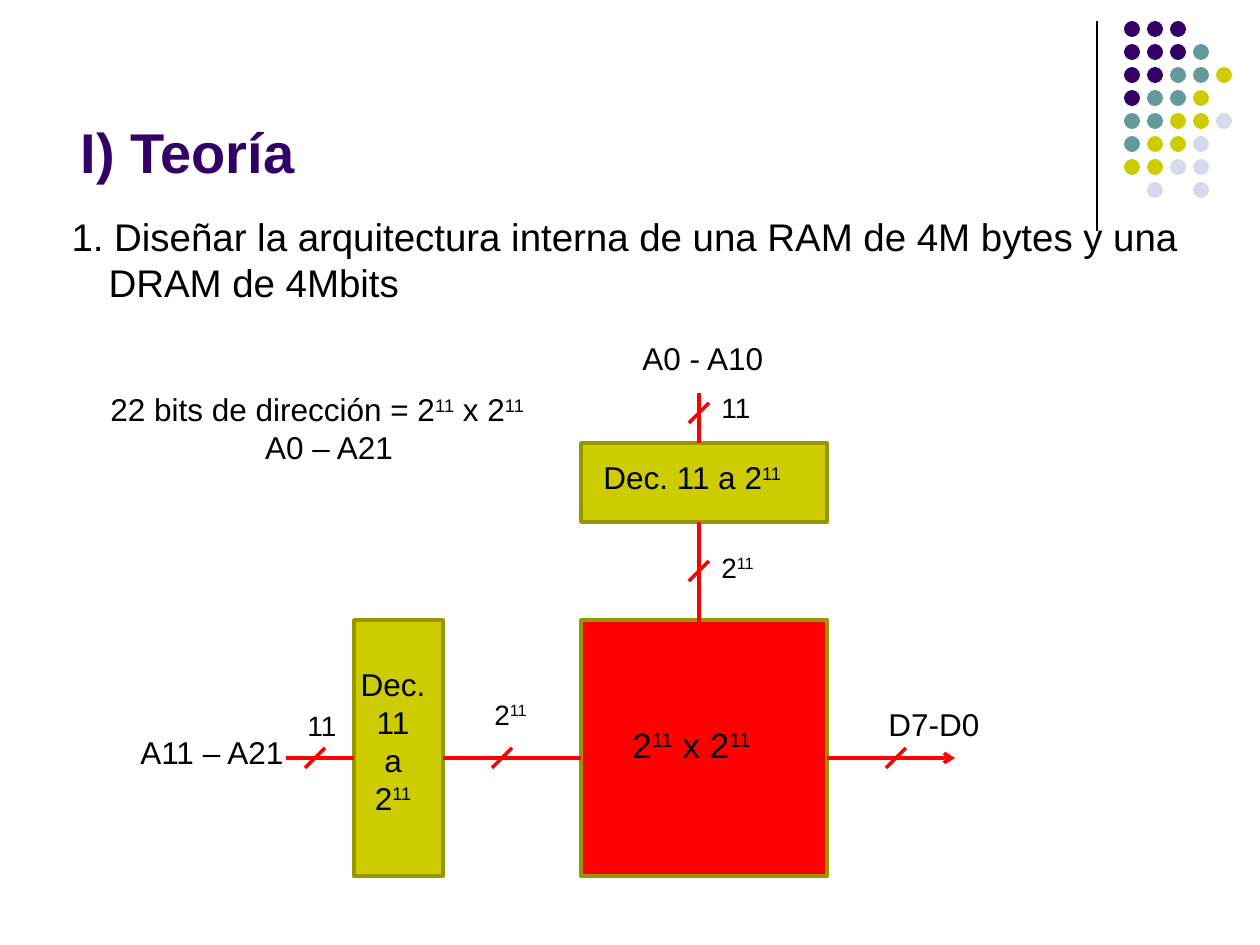
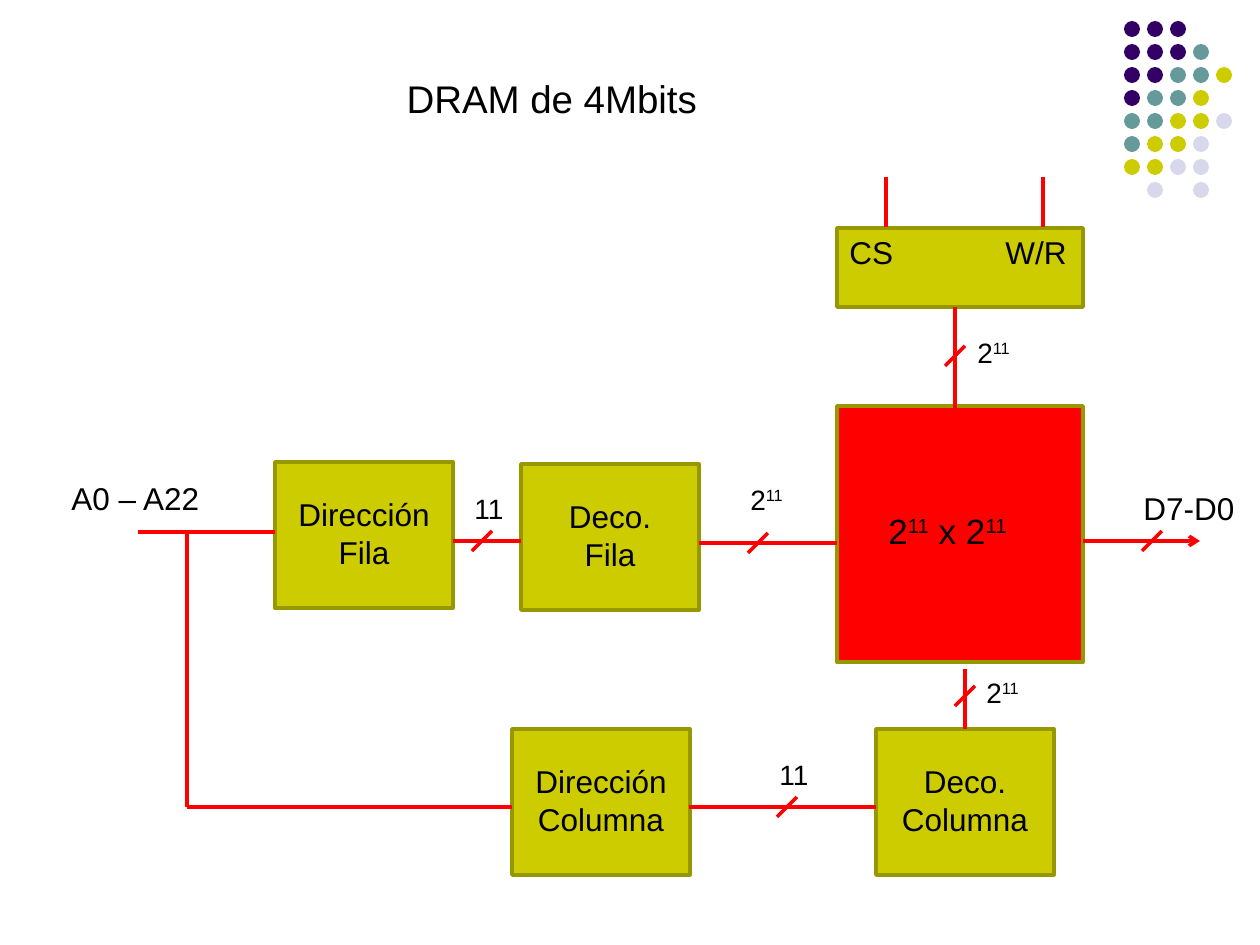
import pptx
import pptx.dml.color
import pptx.enum.shapes
import pptx.enum.text
import pptx.oxml.ns
import pptx.util
from lxml import etree

PX = 914400 / 126
COLORS = {
    "purple": "330066", "teal": "669999", "olive": "CCCC00", "lilac": "D8D8EC",
    "edge": "979700", "red": "FF0000", "black": "000000",
}
DOT_COLORS = {"P": "purple", "T": "teal", "O": "olive", "L": "lilac"}
DOT_ROWS = ["PPP", "PPPT", "PPTTO", "PTTO", "TTOOL", "TOOL", "OOLL", " L L"]
DOT_SIZE, DOT_PITCH = 16, 23
ARRAY_SIZE, DECODER_SIZE, STAGE_SIZE = (246, 256), (246, 79), (178, 146)
CENTER = pptx.enum.text.PP_ALIGN.CENTER
LEFT = pptx.enum.text.PP_ALIGN.LEFT
SHAPES = pptx.enum.shapes.MSO_SHAPE
WORDS = "2|11|"
WORD_ARRAY = "2|11| x 2|11|"


def emu(*lengths):
    return [pptx.util.Emu(round(length * PX)) for length in lengths]


def color(name):
    return pptx.dml.color.RGBColor.from_string(COLORS[name])


def add_xml(parent, tag, **attributes):
    return etree.SubElement(parent, pptx.oxml.ns.qn(tag), attributes)


class Deck:
    font = "Arial"

    def __init__(self):
        self.presentation = pptx.Presentation()
        self.presentation.slide_width, self.presentation.slide_height = emu(1260, 945)
        self.slide = None

    def new_slide(self):
        layout = self.presentation.slide_layouts[1]
        self.slide = self.presentation.slides.add_slide(layout)

    def style_run(self, run, size, color_name="black", bold=False):
        run.font.name = self.font
        run.font.size = pptx.util.Pt(size)
        run.font.bold = bold
        run.font.color.rgb = color(color_name)

    def place(self, shape, x, y, width, height):
        shape.left, shape.top, shape.width, shape.height = emu(x, y, width, height)
        shape.text_frame.auto_size = pptx.enum.text.MSO_AUTO_SIZE.NONE

    def title(self, text, *box):
        title = self.slide.shapes.title
        self.place(title, *box)
        title.text_frame.text = text
        title.text_frame.vertical_anchor = pptx.enum.text.MSO_ANCHOR.BOTTOM
        paragraph = title.text_frame.paragraphs[0]
        paragraph.alignment = LEFT
        self.style_run(paragraph.runs[0], 32, "purple", bold=True)

    def no_title(self):
        element = self.slide.shapes.title.element
        element.getparent().remove(element)

    def body(self, text, *box):
        body = self.slide.placeholders[1]
        self.place(body, *box)
        body.text_frame.text = text
        paragraph = body.text_frame.paragraphs[0]
        properties = paragraph._p.get_or_add_pPr()
        hang = emu(37)[0]
        properties.set("marL", str(hang))
        properties.set("indent", str(-hang))
        add_xml(properties, "a:buNone")
        paragraph.space_before = pptx.util.Pt(0)
        self.style_run(paragraph.runs[0], 22)

    def block(self, x, y, size, fill="olive"):
        shape = self.slide.shapes.add_shape(SHAPES.RECTANGLE, *emu(x, y, *size))
        shape.shadow.inherit = False
        shape.fill.solid()
        shape.fill.fore_color.rgb = color(fill)
        shape.line.color.rgb = color("edge")
        shape.line.width = pptx.util.Pt(2)
        return shape

    def label(self, text, x, y, width, height=50, size=18, alignments=(LEFT,), tab=None):
        """Write one paragraph a line; the parts between bars are superscripts."""
        frame = self.slide.shapes.add_textbox(*emu(x, y, width, height)).text_frame
        frame.word_wrap = True
        for index, line in enumerate(text.split("\n")):
            paragraph = frame.add_paragraph() if index else frame.paragraphs[0]
            if tab:
                tabs = add_xml(paragraph._p.get_or_add_pPr(), "a:tabLst")
                add_xml(tabs, "a:tab", pos=str(emu(tab)[0]), algn="l")
            paragraph.alignment = alignments[min(index, len(alignments) - 1)]
            for part_index, part in enumerate(line.split("|")):
                if part:
                    run = paragraph.add_run()
                    run.text = part
                    self.style_run(run, size)
                    if part_index % 2:
                        run._r.get_or_add_rPr().set("baseline", "30000")

    def bus_width(self, text, x, y, width=69):
        self.label(text, x, y, width, 47, size=16)

    def stage(self, text, x, y):
        shape = self.block(x, y, STAGE_SIZE)
        self.label(text, x + 10, y + 27, 158, 90, alignments=[CENTER])
        return shape

    def memory_array(self, x, y):
        self.block(x, y, ARRAY_SIZE, "red")
        self.label(WORD_ARRAY, x + 39, y + 97, 168, 55, size=20)

    def line(self, x1, y1, x2, y2, color_name="red", width=2, arrow=False, shapes=None):
        shapes = shapes or self.slide.shapes
        connector = shapes.add_connector(
            pptx.enum.shapes.MSO_CONNECTOR.STRAIGHT, *emu(x1, y1, x2, y2))
        connector.line.color.rgb = color(color_name)
        connector.line.width = pptx.util.Pt(width)
        properties = connector.element.spPr
        if arrow:
            add_xml(properties.find(pptx.oxml.ns.qn("a:ln")), "a:tailEnd", type="arrow")
        add_xml(properties, "a:effectLst")
        return connector

    def tick(self, x, y):
        """Mark a wire as a bus with a slanted stroke centred on it."""
        self.line(x - 10, y + 10, x + 10, y - 10)

    def master_ornament(self):
        """Build the rule and the dots, then hand them to the slide master."""
        group = self.slide.shapes.add_group_shape()
        self.line(1097, 21, 1097, 231, "black", 0.75, shapes=group.shapes)
        for row, dots in enumerate(DOT_ROWS):
            for column, key in enumerate(dots):
                if key == " ":
                    continue
                dot = group.shapes.add_shape(SHAPES.OVAL, *emu(
                    1124 + column * DOT_PITCH, 21 + row * DOT_PITCH, DOT_SIZE, DOT_SIZE))
                dot.shadow.inherit = False
                dot.fill.solid()
                dot.fill.fore_color.rgb = color(DOT_COLORS[key])
                dot.line.fill.background()
        for number, properties in enumerate(group.element.xpath(".//p:cNvPr"), 100):
            properties.set("id", str(number))
        self.presentation.slide_master.shapes.element.append(group.element)


def ram_slide(deck):
    deck.title("I) Teoría", 68, 78, 872, 113)
    deck.body("1. Diseñar la arquitectura interna de una RAM de 4M bytes y una "
              "DRAM de 4Mbits", 59, 207, 1134, 117)

    deck.memory_array(581, 620)
    deck.block(581, 443, DECODER_SIZE)
    deck.block(354, 620, (89, 256))
    deck.label("Dec. 11 a 2|11|", 591, 452, 227)
    deck.label("Dec.\n11\na\n2|11|", 344, 659, 98, 165, alignments=[CENTER])

    for x1, y1, x2, y2 in [(699, 393, 699, 443), (699, 522, 699, 630),
                           (443, 758, 581, 758), (286, 758, 354, 758)]:
        deck.line(x1, y1, x2, y2)
    deck.line(827, 758, 955, 758, arrow=True)
    for x, y in [(699, 413), (699, 571), (502, 758), (315, 758), (896, 758)]:
        deck.tick(x, y)

    deck.label("A0 - A10", 630, 333, 147)
    deck.label("A11 – A21", 128, 727, 178)
    deck.label("D7-D0", 876, 699, 137)
    deck.label("22 bits de dirección = 2|11| x 2|11|\nA0 – A21", 98, 384, 462, 90,
               alignments=[LEFT, CENTER])
    deck.bus_width("11", 709, 384)
    deck.bus_width("11", 295, 702, 59)
    deck.bus_width(WORDS, 709, 544)
    deck.bus_width(WORDS, 482, 691)


def dram_slide(deck):
    deck.no_title()
    deck.body("DRAM de 4Mbits", 394, 69, 335, 79)

    deck.memory_array(837, 406)
    deck.block(837, 228, DECODER_SIZE)
    deck.label("CS\tW/R", 837, 227, 246, tab=156)
    deck.stage("Deco.\nFila", 521, 464)
    deck.stage("Dirección\nFila", 275, 462)
    deck.stage("Dirección\nColumna", 512, 729)
    column_decoder = deck.stage("Deco.\nColumna", 876, 729)

    for x1, y1, x2, y2 in [(886, 177, 886, 227), (1043, 177, 1043, 227),
                           (955, 307, 955, 416), (699, 543, 837, 543),
                           (453, 541, 521, 541), (138, 532, 275, 532),
                           (187, 532, 187, 807), (187, 807, 512, 807),
                           (689, 807, 876, 807)]:
        deck.line(x1, y1, x2, y2)
    deck.line(965, 669, 965, 729).end_connect(column_decoder, 0)
    deck.line(1083, 541, 1200, 541, arrow=True)
    for x, y in [(758, 543), (482, 541), (955, 356), (965, 696), (787, 807), (1152, 541)]:
        deck.tick(x, y)

    deck.label("A0 – A22", 59, 473, 178)
    deck.label("D7-D0", 1131, 483, 129)
    deck.bus_width("11", 462, 485, 59)
    deck.bus_width("11", 767, 751, 59)
    deck.bus_width(WORDS, 965, 329)
    deck.bus_width(WORDS, 738, 476)
    deck.bus_width(WORDS, 974, 669)


def main():
    deck = Deck()
    deck.new_slide()
    deck.master_ornament()
    ram_slide(deck)
    deck.new_slide()
    dram_slide(deck)
    deck.presentation.save("out.pptx")


if __name__ == "__main__":
    main()
